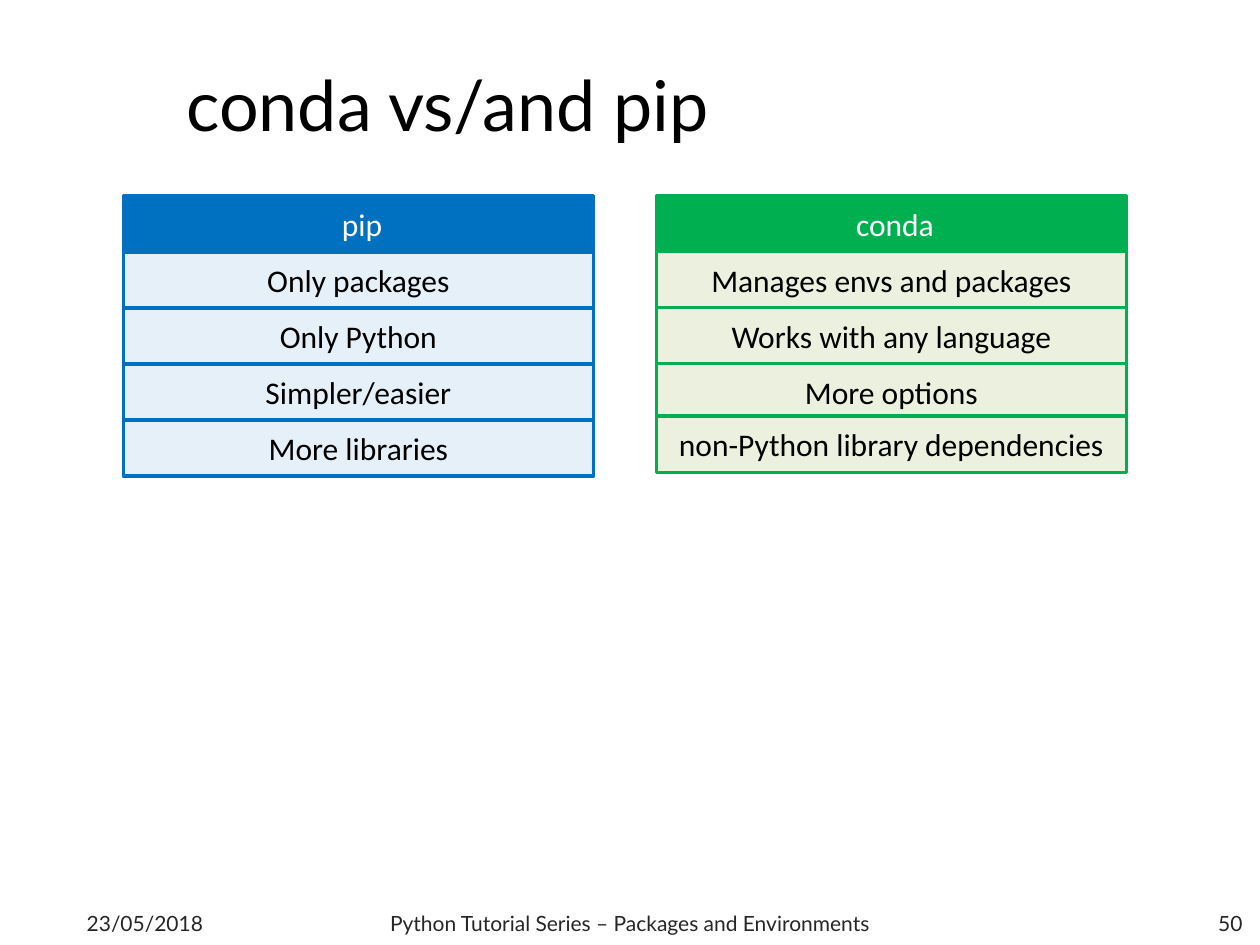
from dataclasses import dataclass

from lxml.etree import SubElement
from pptx import Presentation
from pptx.dml.color import RGBColor
from pptx.enum.shapes import MSO_SHAPE
from pptx.enum.text import MSO_ANCHOR, PP_ALIGN
from pptx.oxml.ns import qn
from pptx.util import Inches, Pt


@dataclass(frozen=True)
class Theme:
    """Colours, fonts and type sizes of the slide."""
    black: str = "000000"
    white: str = "FFFFFF"
    grey: str = "262626"
    blue: str = "0070C0"
    green: str = "00B050"
    pale_green: str = "EBF1DE"
    heading_font: str = "Lato"
    body_font: str = "Calibri"
    title_size: int = 40
    row_size: int = 18
    footer_size: int = 12
    line_width: int = 2


THEME = Theme()
ROW_PITCH = 0.445
ROW_HEIGHT = 0.45


def write_text(shape, text, font, size, colour, alignment, anchor):
    """Put one formatted run into a shape."""
    frame = shape.text_frame
    frame.word_wrap = True
    frame.vertical_anchor = anchor
    paragraph = frame.paragraphs[0]
    paragraph.alignment = alignment
    run = paragraph.add_run()
    run.text = text
    run.font.name = font
    run.font.size = Pt(size)
    run.font.color.rgb = RGBColor.from_string(colour)


def paint(shape, fill, line, opacity=100):
    """Give a shape a fill of some opacity and an outline."""
    shape.shadow.inherit = False
    shape.fill.solid()
    shape.fill.fore_color.rgb = RGBColor.from_string(fill)
    if opacity < 100:
        colour = shape.fill._xPr.find(qn("a:solidFill")).find(qn("a:srgbClr"))
        SubElement(colour, qn("a:alpha")).set("val", str(opacity * 1000))
    shape.line.color.rgb = RGBColor.from_string(line)
    shape.line.width = Pt(THEME.line_width)


def place_title(slide, box, text):
    """Move, fill and format the title placeholder."""
    title = slide.shapes.title
    title.left, title.top, title.width, title.height = map(Inches, box)
    write_text(title, text, THEME.heading_font, THEME.title_size, THEME.black,
               PP_ALIGN.LEFT, MSO_ANCHOR.TOP)


def add_comparison(slide, box, rows, accent, tint, opacity=100, last_shift=0):
    """Stack a header and its rows as one group in a column."""
    left, top, width = box
    group = slide.shapes.add_group_shape()
    for index, text in enumerate(rows):
        shift = last_shift if index == len(rows) - 1 else 0
        cell = group.shapes.add_shape(
            MSO_SHAPE.RECTANGLE, Inches(left), Inches(top + index * ROW_PITCH + shift),
            Inches(width), Inches(ROW_HEIGHT))
        is_header = index == 0
        paint(cell, accent if is_header else tint, accent, 100 if is_header else opacity)
        write_text(cell, text, THEME.body_font, THEME.row_size,
                   THEME.white if is_header else THEME.black,
                   PP_ALIGN.CENTER, MSO_ANCHOR.MIDDLE)


def add_footer(slide, top, height, parts):
    """Set the footer texts along the bottom of the slide."""
    for left, width, text, alignment in parts:
        footer = slide.shapes.add_textbox(Inches(left), Inches(top), Inches(width), Inches(height))
        write_text(footer, text, THEME.heading_font, THEME.footer_size, THEME.grey,
                   alignment, MSO_ANCHOR.MIDDLE)


def main():
    """Build and save the slide."""
    presentation = Presentation()
    presentation.slide_width, presentation.slide_height = Inches(10), Inches(7.5)
    slide = presentation.slides.add_slide(presentation.slide_layouts[5])
    place_title(slide, (1.38, 0.44, 8.03, 1.89), "conda vs/and pip")
    add_footer(slide, 7.13, 0.4, (
        (0.59, 2.33, "23/05/2018", PP_ALIGN.LEFT),
        (2.74, 4.52, "Python Tutorial Series – Packages and Environments", PP_ALIGN.CENTER),
        (7.63, 2.33, "50", PP_ALIGN.RIGHT),
    ))
    add_comparison(
        slide, (5.21, 1.55, 3.73),
        (" conda", "Manages envs and packages", "Works with any language",
         "More options", "non-Python library dependencies"),
        THEME.green, THEME.pale_green, last_shift=-0.03)
    add_comparison(
        slide, (0.98, 1.55, 3.73),
        (" pip", "Only packages", "Only Python", "Simpler/easier", "More libraries"),
        THEME.blue, THEME.blue, opacity=10)
    presentation.save("out.pptx")


if __name__ == "__main__":
    main()
